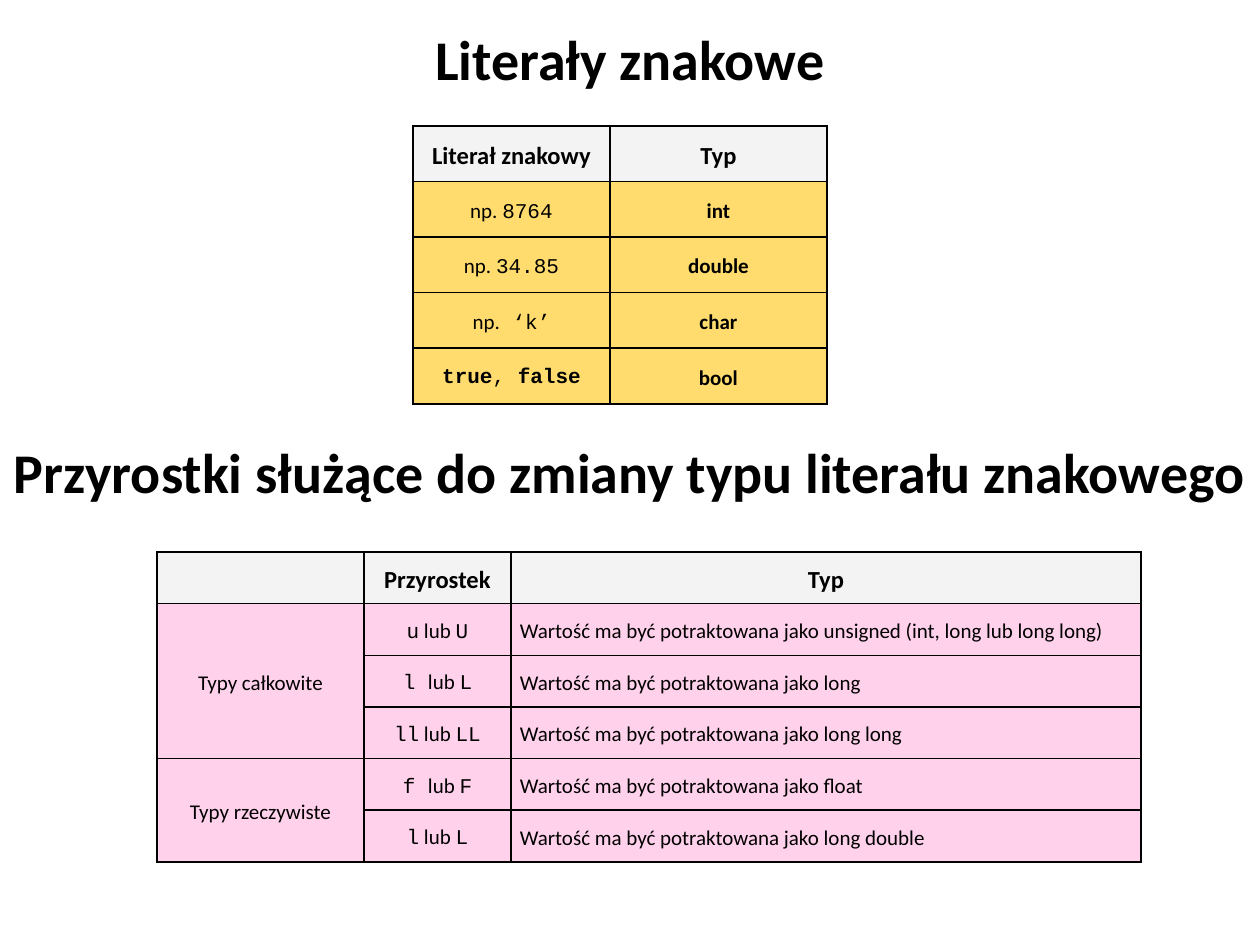
from dataclasses import dataclass

from lxml import etree
from pptx import Presentation
from pptx.dml.color import RGBColor
from pptx.enum.text import MSO_ANCHOR, PP_ALIGN
from pptx.oxml.ns import qn
from pptx.util import Emu, Pt

LEFT, CENTER = PP_ALIGN.LEFT, PP_ALIGN.CENTER
MIDDLE = MSO_ANCHOR.MIDDLE
SCALE = 914400 // 126


@dataclass(frozen=True)
class Theme:
    sans: str = "Calibri"
    mono: str = "Courier New"
    ink: str = "000000"
    head: str = "F3F3F3"
    gold: str = "FFDC6D"
    pink: str = "FFD1EB"
    title: int = 32
    label: int = 14
    body: int = 12


@dataclass(frozen=True)
class Run:
    text: str
    mono: bool = False
    bold: bool = False


@dataclass(frozen=True)
class Title:
    text: str
    top: int


@dataclass(frozen=True)
class Grid:
    left: int
    top: int
    height: int
    cols: tuple[int, ...]
    aligns: tuple[PP_ALIGN, ...]
    fill: str
    rows: list[list[list[Run]]]
    spans: tuple[tuple[int, int], ...] = ()


THEME = Theme()


def px(count: int) -> Emu:
    return Emu(count * SCALE)


def write(frame, runs: list[Run], *, size: int, align: PP_ALIGN = CENTER,
          line: float = 1.0, after: int = 0) -> None:
    para = frame.paragraphs[0]
    para.alignment = align
    para.line_spacing = line
    para.space_after = Pt(after)
    for item in runs:
        run = para.add_run()
        run.text = item.text
        font = run.font
        font.name = THEME.mono if item.mono else THEME.sans
        font.size = Pt(size)
        font.bold = item.bold
        font.color.rgb = RGBColor.from_string(THEME.ink)


def border(cell) -> None:
    props = cell._tc.get_or_add_tcPr()
    for side in ("lnL", "lnR", "lnT", "lnB"):
        edge = etree.SubElement(props, qn(f"a:{side}"), w=str(Pt(1)))
        fill = etree.SubElement(edge, qn("a:solidFill"))
        etree.SubElement(fill, qn("a:srgbClr"), val=THEME.ink)


def draw_title(slide, title: Title) -> None:
    box = slide.shapes.add_textbox(0, px(title.top), px(1260), px(80))
    frame = box.text_frame
    frame.word_wrap = True
    frame.margin_left = frame.margin_right = 0
    write(frame, [Run(title.text, bold=True)], size=THEME.title)


def draw_grid(slide, grid: Grid) -> None:
    table = slide.shapes.add_table(
        len(grid.rows), len(grid.cols), px(grid.left), px(grid.top),
        px(sum(grid.cols)), px(grid.height)).table
    table.first_row = table.horz_banding = False
    for col, width in zip(table.columns, grid.cols):
        col.width = px(width)
    for i, row in enumerate(grid.rows):
        for j, runs in enumerate(row):
            cell = table.cell(i, j)
            cell.margin_left = cell.margin_right = px(9)
            cell.margin_top = cell.margin_bottom = 0
            cell.vertical_anchor = MIDDLE
            border(cell)
            cell.fill.solid()
            cell.fill.fore_color.rgb = RGBColor.from_string(
                grid.fill if i else THEME.head)
            write(cell.text_frame, runs,
                  size=THEME.body if i else THEME.label,
                  align=grid.aligns[j] if i else CENTER, line=1.15, after=10)
    for first, last in grid.spans:
        table.cell(first, 0).merge(table.cell(last, 0))


def bold(text: str) -> list[Run]:
    return [Run(text, bold=True)]


def code(text: str) -> Run:
    return Run(text, mono=True)


def suffix(kind: str, low: str, word: str, high: str, kept: str) -> list[list[Run]]:
    return [[Run(kind)] if kind else [],
            [code(low), Run(word), code(high)],
            [Run(f"Wartość ma być potraktowana jako {kept}")]]


# Content
TITLES = [
    Title("Literały znakowe", 18),
    Title("Przyrostki służące do zmiany typu literału znakowego", 431),
]
GRIDS = [
    Grid(413, 126, 278, (197, 217), (CENTER, CENTER), THEME.gold, [
        [bold("Literał znakowy"), bold("Typ")],
        [[Run("np. "), code("8764")], bold("int")],
        [[Run("np. "), code("34.85")], bold("double")],
        [[Run("np."), code(" ‘k’")], bold("char")],
        [[Run("true", True, True), code(", "), Run("false", True, True)],
         bold("bool")],
    ]),
    Grid(157, 552, 310, (207, 147, 630), (CENTER, CENTER, LEFT), THEME.pink, [
        [[], bold("Przyrostek"), bold("Typ")],
        suffix("Typy całkowite", "u", " lub ", "U",
               "unsigned (int, long lub long long)"),
        suffix("", "l ", "lub ", "L", "long"),
        suffix("", "ll", " lub ", "LL", "long long"),
        suffix("Typy rzeczywiste", "f ", "lub ", "F", "float"),
        suffix("", "l", " lub ", "L", "long double"),
    ], spans=((1, 3), (4, 5))),
]

# Slide
deck = Presentation()
deck.slide_width, deck.slide_height = px(1260), px(945)
slide = deck.slides.add_slide(deck.slide_layouts[6])
for title in TITLES:
    draw_title(slide, title)
for grid in GRIDS:
    draw_grid(slide, grid)
deck.save("out.pptx")
